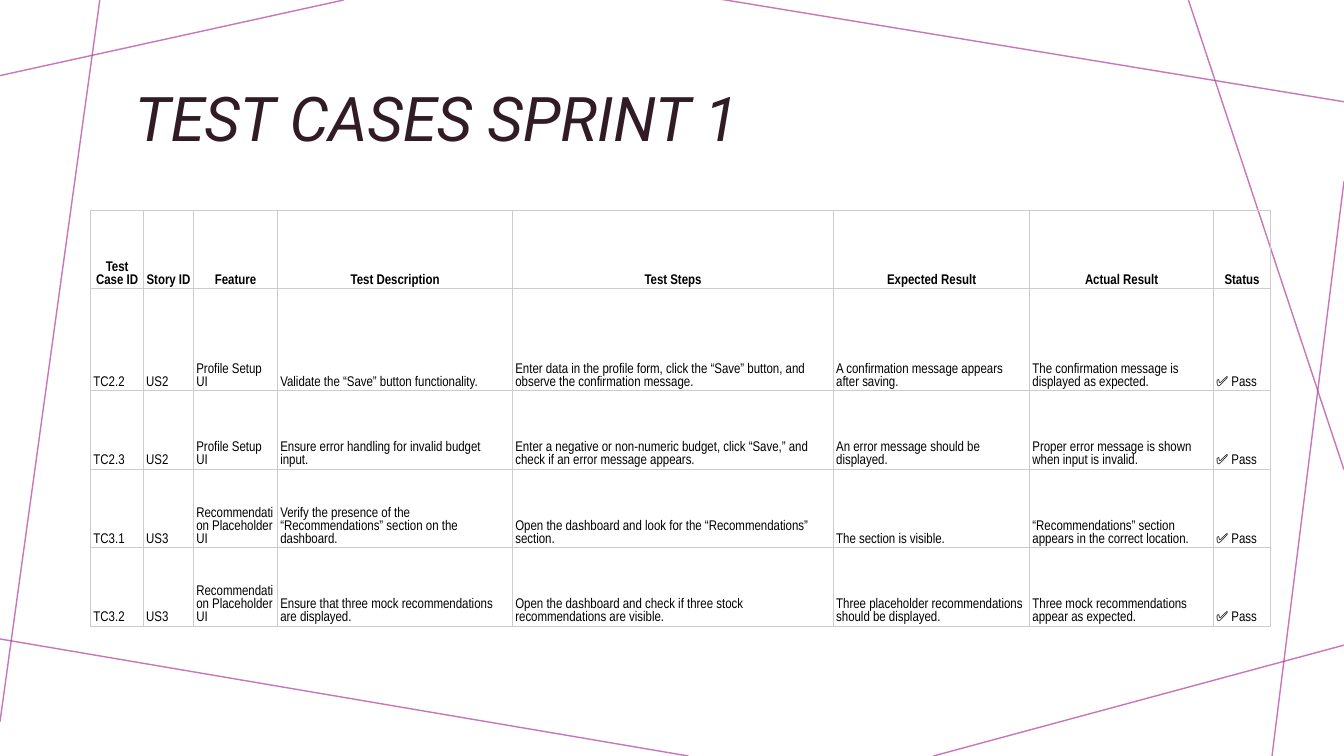
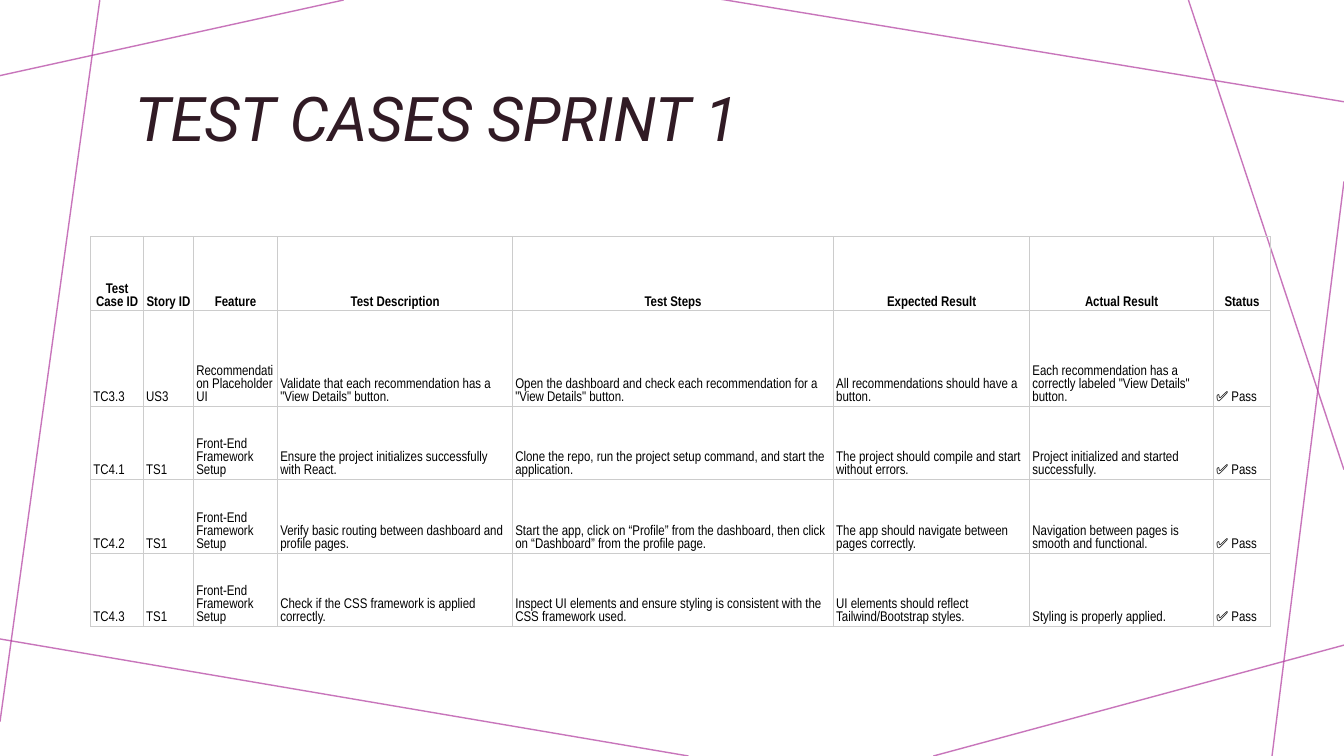
from lxml import etree
from pptx import Presentation
from pptx.dml.color import RGBColor
from pptx.enum.shapes import MSO_CONNECTOR
from pptx.enum.text import MSO_ANCHOR, PP_ALIGN
from pptx.oxml.ns import qn
from pptx.util import Pt

STRAIGHT = MSO_CONNECTOR.STRAIGHT
MIDDLE, BOTTOM = MSO_ANCHOR.MIDDLE, MSO_ANCHOR.BOTTOM
LEFT, CENTER = PP_ALIGN.LEFT, PP_ALIGN.CENTER

WIDTH, HEIGHT = 960, 540
BG, INK, BLACK, ACCENT, BORDER = "FFFFFF", "311B25", "000000", "B13B9F", "CCCCCC"
TITLE_FONT, TABLE_FONT = "Roboto", "Arial Narrow"
TITLE_BOX = (89.3, 38.9, 792.7, 96.5)
TABLE_LEFT, TABLE_BOTTOM = 64.8, 447.5
COLUMNS = (37.7, 35.8, 60, 167.9, 229.2, 140.2, 131.3, 40.8)
BACKDROP = (
    (245.5, 0, 0, 54),
    (71.3, 0, 0, 515.5),
    (491.8, HEIGHT, -3.6, 455.8),
    (WIDTH, 460.8, 666.7, HEIGHT),
    (WIDTH, 129.6, 908.6, HEIGHT),
    (WIDTH, 335.5, 848.9, 0),
    (WIDTH, 72.7, 514.1, -0.7),
)

TITLE = "TEST CASES SPRINT 1"
HEADER = ("Test Case ID", "Story ID", "Feature", "Test Description", "Test Steps",
          "Expected Result", "Actual Result", "Status")
PASS = "✅ Pass"
PROFILE = "Profile Setup UI"
RECOMMEND = "Recommendation Placeholder UI"
FRONT_END = "Front-End Framework Setup"

UI_CASES = (
    ("TC2.2", "US2", PROFILE, "Validate the “Save” button functionality.",
     "Enter data in the profile form, click the “Save” button, and observe the confirmation message.",
     "A confirmation message appears after saving.",
     "The confirmation message is displayed as expected.", PASS),
    ("TC2.3", "US2", PROFILE, "Ensure error handling for invalid budget input.",
     "Enter a negative or non-numeric budget, click “Save,” and check if an error message appears.",
     "An error message should be displayed.",
     "Proper error message is shown when input is invalid.", PASS),
    ("TC3.1", "US3", RECOMMEND,
     "Verify the presence of the “Recommendations” section on the dashboard.",
     "Open the dashboard and look for the “Recommendations” section.",
     "The section is visible.",
     "“Recommendations” section appears in the correct location.", PASS),
    ("TC3.2", "US3", RECOMMEND, "Ensure that three mock recommendations are displayed.",
     "Open the dashboard and check if three stock recommendations are visible.",
     "Three placeholder recommendations should be displayed.",
     "Three mock recommendations appear as expected.", PASS),
)
SETUP_CASES = (
    ("TC3.3", "US3", RECOMMEND,
     'Validate that each recommendation has a "View Details" button.',
     'Open the dashboard and check each recommendation for a "View Details" button.',
     "All recommendations should have a button.",
     'Each recommendation has a correctly labeled "View Details" button.', PASS),
    ("TC4.1", "TS1", FRONT_END, "Ensure the project initializes successfully with React.",
     "Clone the repo, run the project setup command, and start the application.",
     "The project should compile and start without errors.",
     "Project initialized and started successfully.", PASS),
    ("TC4.2", "TS1", FRONT_END, "Verify basic routing between dashboard and profile pages.",
     "Start the app, click on “Profile” from the dashboard, then click on “Dashboard” from the profile page.",
     "The app should navigate between pages correctly.",
     "Navigation between pages is smooth and functional.", PASS),
    ("TC4.3", "TS1", FRONT_END, "Check if the CSS framework is applied correctly.",
     "Inspect UI elements and ensure styling is consistent with the CSS framework used.",
     "UI elements should reflect Tailwind/Bootstrap styles.",
     "Styling is properly applied.", PASS),
)


def rgb(color):
    """Turn a hex string into a colour."""
    return RGBColor.from_string(color)


def add_run(p, text, font, size, color, bold=False, italic=False):
    """Add one formatted run to a paragraph."""
    r = p.add_run()
    r.text = text
    r.font.name, r.font.size = font, Pt(size)
    r.font.bold, r.font.italic = bold, italic
    r.font.color.rgb = rgb(color)


def add_backdrop(s):
    """Draw the translucent crossing lines behind the content."""
    s.background.fill.solid()
    s.background.fill.fore_color.rgb = rgb(BG)
    for ends in BACKDROP:
        line = s.shapes.add_connector(STRAIGHT, *map(Pt, ends))
        line.line.width = Pt(1)
        line.line.color.rgb = rgb(ACCENT)
        sp_pr = line._element.spPr
        color = sp_pr.find(".//" + qn("a:srgbClr"))
        etree.SubElement(color, qn("a:alpha"), val="70000")
        etree.SubElement(sp_pr, qn("a:effectLst"))


def add_title(s, box, text):
    """Place the slide title in its box."""
    tf = s.shapes.add_textbox(*map(Pt, box)).text_frame
    tf.word_wrap = True
    tf.vertical_anchor = MIDDLE
    p = tf.paragraphs[0]
    p.line_spacing = 0.9
    add_run(p, text, TITLE_FONT, 44, INK, italic=True)


def set_borders(cell):
    """Put a thin grey line on every side of a cell."""
    tc_pr = cell._tc.get_or_add_tcPr()
    for i, side in enumerate(("a:lnL", "a:lnR", "a:lnT", "a:lnB")):
        ln = etree.Element(qn(side), w=str(Pt(0.75)))
        fill = etree.SubElement(ln, qn("a:solidFill"))
        etree.SubElement(fill, qn("a:srgbClr"), val=BORDER)
        tc_pr.insert(i, ln)


def fill_cell(cell, text, header):
    """Write and format one table cell."""
    cell.fill.background()
    set_borders(cell)
    cell.vertical_anchor = BOTTOM
    cell.margin_left = cell.margin_right = Pt(0.9 if header else 2)
    cell.margin_top = cell.margin_bottom = Pt(0.9 if header else 1.4)
    p = cell.text_frame.paragraphs[0]
    p.alignment = CENTER if header else LEFT
    add_run(p, text, TABLE_FONT, 10, BLACK, bold=header)


def add_case_table(s, left, bottom, cases, row_height, first_height):
    """Build the test case table upward from its bottom edge."""
    rows = (HEADER, *cases)
    heights = [row_height, first_height] + [row_height] * (len(cases) - 1)
    total = sum(heights)
    table = s.shapes.add_table(len(rows), len(HEADER), Pt(left), Pt(bottom - total),
                               Pt(sum(COLUMNS)), Pt(total)).table
    table.first_row = table.horz_banding = False
    for column, width in zip(table.columns, COLUMNS):
        column.width = Pt(width)
    for i, (texts, height) in enumerate(zip(rows, heights)):
        table.rows[i].height = Pt(height)
        for j, text in enumerate(texts):
            fill_cell(table.cell(i, j), text, i == 0)


def add_case_slide(prs, cases, row_height, first_height):
    """Add a slide with the backdrop, the title and a table of cases."""
    s = prs.slides.add_slide(prs.slide_layouts[6])
    add_backdrop(s)
    add_title(s, TITLE_BOX, TITLE)
    add_case_table(s, TABLE_LEFT, TABLE_BOTTOM, cases, row_height, first_height)


def main():
    """Build and save the presentation."""
    prs = Presentation()
    prs.slide_width, prs.slide_height = Pt(WIDTH), Pt(HEIGHT)
    add_case_slide(prs, UI_CASES, 56.1, 73.1)
    add_case_slide(prs, SETUP_CASES, 52.5, 68.5)
    prs.save("out.pptx")


if __name__ == "__main__":
    main()
